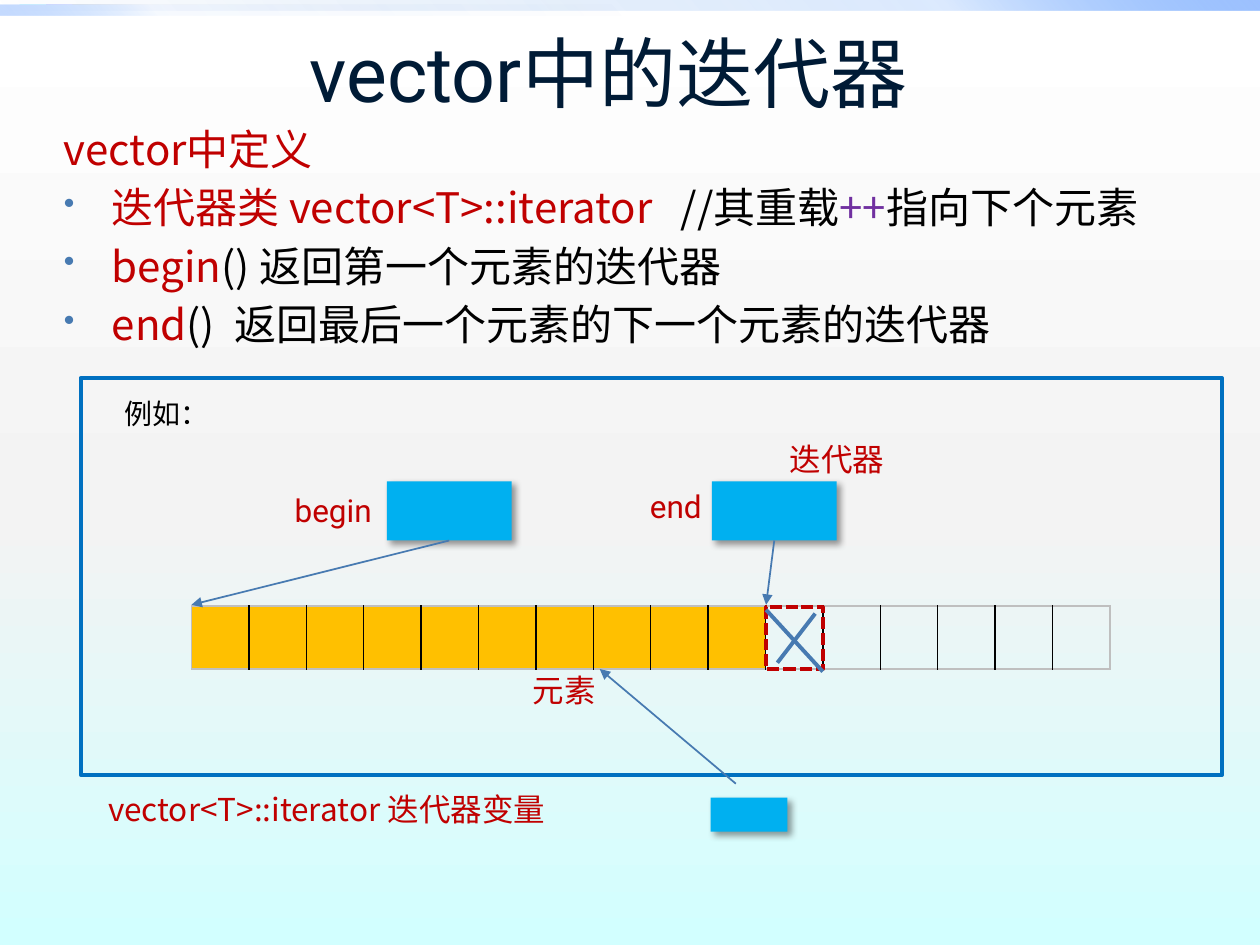
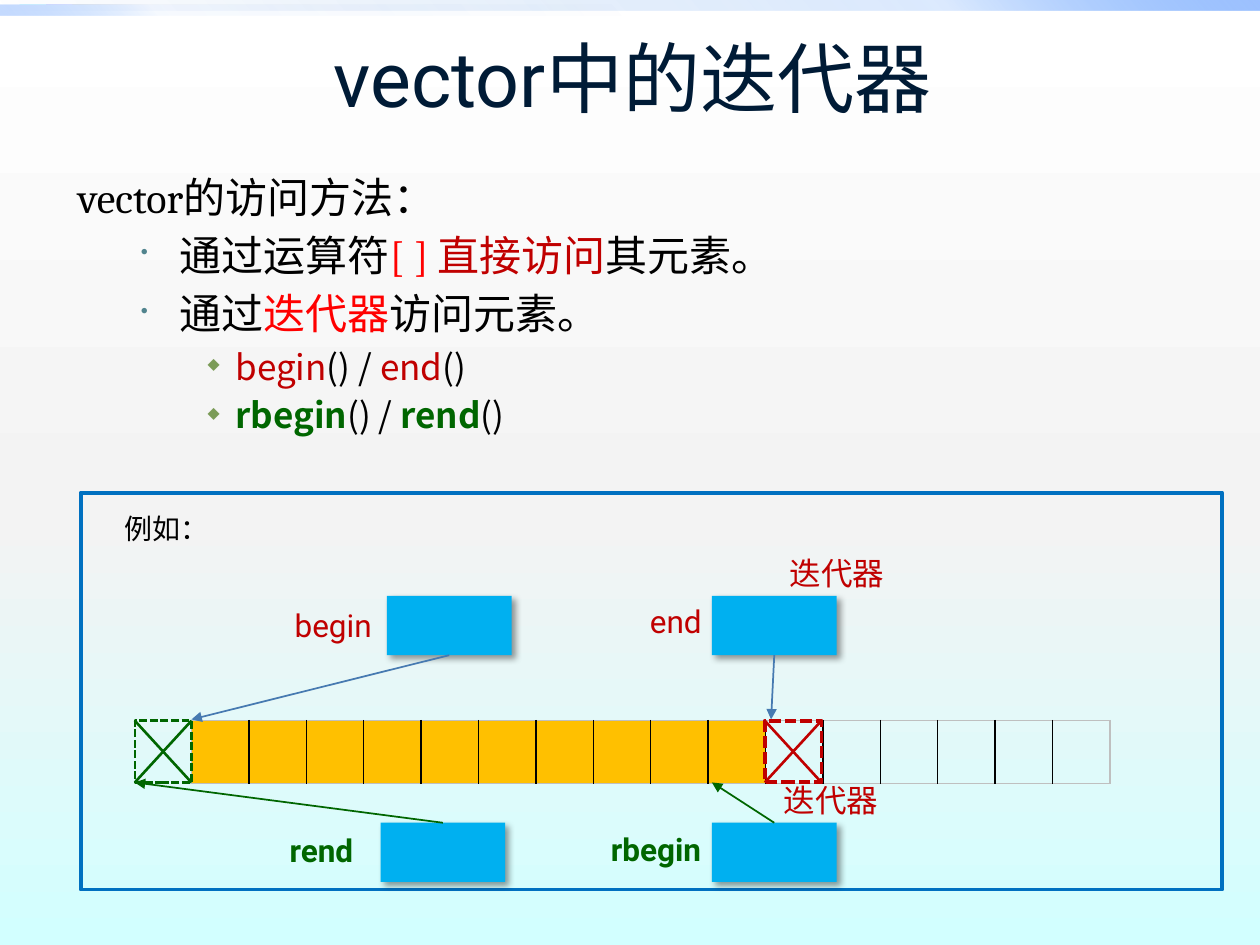
import dataclasses

import lxml.etree
import pptx
import pptx.dml.color
import pptx.enum.dml
import pptx.enum.shapes
import pptx.enum.text
import pptx.oxml.ns
import pptx.util

Inches = pptx.util.Inches
Pt = pptx.util.Pt
qn = pptx.oxml.ns.qn
ALIGN = pptx.enum.text.PP_ALIGN
BOTTOM, TOP = 2, 0


@dataclasses.dataclass(frozen=True)
class Theme:
    navy: str = "001B36"
    black: str = "000000"
    red: str = "C00000"
    bright_red: str = "FF0000"
    purple: str = "7030A0"
    green: str = "006600"
    steel: str = "477AB1"
    teal: str = "51848E"
    olive: str = "7B9B57"
    frame: str = "0070C0"
    iterator: str = "00B0F0"
    element: str = "FFC000"
    grid_edge: str = "BFBFBF"
    sans: str = "Roboto"
    cjk: str = "Noto Sans CJK SC"
    serif: str = "Cambria"
    title_size: int = 44
    body_size: int = 24
    detail_size: int = 20
    label_size: int = 18
    note_size: int = 16
    # Gradient stops: position, colour, opacity (all in percent)
    backdrop: tuple = ((0, "FFFFFF", 100), (55, "F3F3F3", 100), (100, "D2FFFF", 100))
    wide_band: tuple = ((0, "0058B7", 0), (75, "4F95FF", 20), (100, "9EC2FF", 100))
    short_band: tuple = ((0, "0058B7", 0), (75, "4F95FF", 5), (100, "9EC2FF", 60))


THEME = Theme()


@dataclasses.dataclass(frozen=True)
class Bullet:
    char: str
    color: str
    percent: int
    margin: float
    hanging: float
    level: int = 0


def rgb(color):
    return pptx.dml.color.RGBColor.from_string(color)


def sub(parent, tag, **attributes):
    values = {key: str(value) for key, value in attributes.items()}
    return lxml.etree.SubElement(parent, qn(tag), values)


def sub_color(parent, color, opacity=100):
    node = sub(parent, "a:srgbClr", val=color)
    if opacity < 100:
        sub(node, "a:alpha", val=opacity * 1000)


def paint_gradient(fill, owner, stops, clockwise):
    """Fill with any number of stops; owner is the XML element holding the fill."""
    fill.gradient()
    fill.gradient_angle = 360 - clockwise
    stop_list = next(owner.iter(qn("a:gsLst")))
    for stop in list(stop_list):
        stop_list.remove(stop)
    for position, color, opacity in stops:
        sub_color(sub(stop_list, "a:gs", pos=position * 1000), color, opacity)


class Deck:
    def __init__(self, theme):
        self.theme = theme
        self.presentation = pptx.Presentation()
        self.presentation.slide_width = Inches(10)
        self.presentation.slide_height = Inches(7.5)
        self.slide = None

    def new_slide(self, title, title_left, title_top):
        theme = self.theme
        self.slide = self.presentation.slides.add_slide(self.presentation.slide_layouts[6])
        paint_gradient(self.slide.background.fill, self.slide.element, theme.backdrop, 90)
        for top, width, stops, angle in ((0, 10, theme.wide_band, 315),
                                         (0.04, 5, theme.short_band, 135)):
            band = self.rectangle(0, top, width, 0.08)
            paint_gradient(band.fill, band.element, stops, angle)
        heading = self.text_frame(title_left, title_top, 9, 1.25)
        heading.vertical_anchor = pptx.enum.text.MSO_ANCHOR.MIDDLE
        heading.paragraphs[0].alignment = ALIGN.CENTER
        self.run(heading.paragraphs[0], title, theme.navy, theme.title_size)

    def rectangle(self, left, top, width, height, fill=None, line=None, weight=1, dashed=False):
        shape = self.slide.shapes.add_shape(
            pptx.enum.shapes.MSO_SHAPE.RECTANGLE,
            Inches(left), Inches(top), Inches(width), Inches(height))
        shape.shadow.inherit = False
        if fill:
            shape.fill.solid()
            shape.fill.fore_color.rgb = rgb(fill)
        else:
            shape.fill.background()
        if line:
            shape.line.color.rgb = rgb(line)
            shape.line.width = Pt(weight)
            if dashed:
                shape.line.dash_style = pptx.enum.dml.MSO_LINE.SQUARE_DOT
        else:
            shape.line.fill.background()
        return shape

    def iterator_box(self, left, top, width=0.99, height=0.47):
        box = self.rectangle(left, top, width, height, self.theme.iterator)
        effects = box.element.spPr.find(qn("a:effectLst"))
        shadow = sub(effects, "a:outerShdw", blurRad=Pt(4), dist=Pt(3), dir=45 * 60000,
                     algn="tl", rotWithShape=0)
        sub_color(shadow, self.theme.black, 40)
        return box

    def text_frame(self, left, top, width, height):
        frame = self.slide.shapes.add_textbox(
            Inches(left), Inches(top), Inches(width), Inches(height)).text_frame
        frame.word_wrap = True
        return frame

    def run(self, paragraph, text, color, size, font=None, bold=False, spacing=0):
        run = paragraph.add_run()
        run.text = text
        run.font.size = Pt(size)
        run.font.bold = bold
        run.font.color.rgb = rgb(color)
        run.font.name = font or self.theme.sans
        properties = run.font._element
        sub(properties, "a:ea", typeface=self.theme.cjk)
        if spacing:
            properties.set("spc", str(round(spacing * 100)))

    def label(self, text, left, top, width, color=None, size=None, font=None, bold=False):
        frame = self.text_frame(left, top, width, 0.4)
        self.run(frame.paragraphs[0], text, color or self.theme.red,
                 size or self.theme.label_size, font, bold)

    def body(self, left, top, width, height, lines, align=ALIGN.LEFT):
        """Each line is (bullet or None, size, font, runs); a run is (text, color, options)."""
        frame = self.text_frame(left, top, width, height)
        for index, (bullet, size, font, runs) in enumerate(lines):
            paragraph = frame.add_paragraph() if index else frame.paragraphs[0]
            paragraph.alignment = align
            if index:
                paragraph.space_before = Pt(size * 0.19)
            if bullet:
                self.bullet(paragraph, bullet)
            for text, color, *options in runs:
                self.run(paragraph, text, color, size, font, **(options[0] if options else {}))

    def bullet(self, paragraph, bullet):
        paragraph.level = bullet.level
        properties = paragraph._p.get_or_add_pPr()
        properties.set("marL", str(Inches(bullet.margin)))
        properties.set("indent", str(-Inches(bullet.hanging)))
        sub_color(sub(properties, "a:buClr"), bullet.color)
        sub(properties, "a:buSzPct", val=bullet.percent * 1000)
        sub(properties, "a:buChar", char=bullet.char)

    def line(self, start, end, color, weight=1.0, arrow=False, joined=None):
        """joined is (shape, side) that the line starts from."""
        connector = self.slide.shapes.add_connector(
            pptx.enum.shapes.MSO_CONNECTOR.STRAIGHT, *map(Inches, (*start, *end)))
        if joined:
            connector.begin_connect(*joined)
        connector.line.color.rgb = rgb(color)
        connector.line.width = Pt(weight)
        if arrow:
            sub(connector.line._ln, "a:tailEnd", type="triangle")
        sub(connector._element.spPr, "a:effectLst")

    def pointer(self, box, side, tip, color):
        x = (box.left + box.width / 2) / Inches(1)
        y = (box.top + (box.height if side == BOTTOM else 0)) / Inches(1)
        self.line((x, y), tip, color, arrow=True, joined=(box, side))

    def storage(self, left, top, used=10, capacity=16, width=7.29):
        table = self.slide.shapes.add_table(
            1, capacity, Inches(left), Inches(top), Inches(width), Inches(0.5)).table
        table.first_row = table.horz_banding = False
        for column in range(capacity):
            table.columns[column].width = Inches(width / capacity)
            cell = table.cell(0, column)
            properties = cell._tc.get_or_add_tcPr()
            inner = {"a:lnL": column > 0, "a:lnR": column < capacity - 1}
            for edge in ("a:lnL", "a:lnR", "a:lnT", "a:lnB"):
                border = sub(properties, edge, w=Pt(1))
                color = self.theme.black if inner.get(edge) else self.theme.grid_edge
                sub_color(sub(border, "a:solidFill"), color)
            if column < used:
                cell.fill.solid()
                cell.fill.fore_color.rgb = rgb(self.theme.element)
            else:
                cell.fill.background()

    def past_end_cell(self, left, top, color, weight):
        self.rectangle(left, top, 0.45, 0.49, line=color, weight=weight, dashed=True)

    def cross(self, left, top, color):
        right, bottom = left + 0.45, top + 0.49
        self.line((left, top), (right, bottom), color, 1.5)
        self.line((left, bottom), (right, top), color, 1.5)

    def example(self, top, end_tip):
        """Framed vector with its begin and end iterators."""
        theme = self.theme
        self.label("例如：", 0.89, top + 0.1, 6.3, theme.black, theme.note_size)
        self.rectangle(0.64, top, 9.06, 3.15, line=theme.frame, weight=2.25)
        self.storage(1.52, top + 1.81)
        for name, name_left, name_drop, width, box_left, tip in (
                ("begin", 2.24, 0.85, 1, 3.07, 1.52),
                ("end", 5.06, 0.82, 0.82, 5.65, end_tip)):
            self.label(name, name_left, top + name_drop, width)
            box = self.iterator_box(box_left, top + 0.82)
            self.pointer(box, BOTTOM, (tip, top + 1.8), theme.steel)
        self.label("迭代器", 6.17, top + 0.44, 1.32)


def iterator_definitions(deck):
    t = deck.theme
    dot = Bullet("•", t.steel, 75, 0.38, 0.38)
    deck.new_slide("vector中的迭代器", 0.33, -0.06)
    contents = (
        (None, [("vector中定义", t.red)]),
        (dot, [("迭代器类 vector<T>::iterator", t.red), (" ", t.red, {"spacing": 10.8}),
               ("//其重载", t.black), ("++", t.purple), ("指向下个元素", t.black)]),
        (dot, [("begin", t.red), ("() 返回第一个元素的迭代器", t.black)]),
        (dot, [("end", t.red), ("()", t.black), (" ", t.black, {"spacing": 5.4}),
               ("返回最后一个元素的下一个元素的迭代器", t.black)]),
    )
    deck.body(0.41, 0.93, 9.5, 1.84,
              [(bullet, t.body_size, t.cjk, runs) for bullet, runs in contents])

    deck.example(3, end_tip=6.08)
    deck.label("元素", 4.13, 5.28, 0.74)
    deck.label("vector<T>::iterator 迭代器变量", 0.76, 6.22, 4.24, font=t.cjk)
    deck.iterator_box(5.64, 6.33, 0.61, 0.27)
    deck.line((5.84, 6.22), (4.76, 5.31), t.steel, arrow=True)
    deck.past_end_cell(6.08, 4.82, t.red, 2.25)
    deck.line((6.08, 4.84), (6.53, 5.33), t.steel, 2.25)
    deck.line((6.47, 4.87), (6.17, 5.26), t.steel, 2.25)


def access_methods(deck):
    t = deck.theme
    method = Bullet("•", t.teal, 50, 0.81, 0.31, level=1)
    pair = Bullet("◆", t.olive, 45, 1.25, 0.22, level=2)
    strong = {"bold": True}
    deck.new_slide("vector中的迭代器", 0.52, -0.02)
    deck.body(0.52, 1.31, 9.29, 2.36, [
        (None, t.body_size, t.serif, [("vector的访问方法：", t.black)]),
        (method, t.body_size, t.serif, [
            ("通过运算符", t.black), ("[ ] ", t.bright_red),
            ("直接访问", t.red), ("其元素。", t.black)]),
        (method, t.body_size, t.serif, [
            ("通过", t.black), ("迭代器", t.bright_red), ("访问元素。", t.black)]),
        (pair, t.detail_size, t.cjk, [
            ("begin", t.red), ("() / ", t.black), ("end", t.red), ("()", t.black)]),
        (pair, t.detail_size, t.cjk, [
            ("rbegin", t.green, strong), ("() / ", t.black),
            ("rend", t.green, strong), ("()", t.black)]),
    ], ALIGN.JUSTIFY)

    deck.example(3.91, end_tip=6.12)
    deck.label("迭代器", 6.12, 6.15, 1.32)
    for name, name_left, name_top, box_left, tip in (
            ("rend", 2.2, 6.55, 3.02, 1.07), ("rbegin", 4.75, 6.54, 5.65, 5.65)):
        deck.label(name, name_left, name_top, 1.05, t.green, bold=True)
        box = deck.iterator_box(box_left, 6.53)
        deck.pointer(box, TOP, (tip, 6.21), t.green)
    for left, color, weight in ((1.07, t.green, 1.5), (6.07, t.red, 2.25)):
        deck.past_end_cell(left, 5.72, color, weight)
        deck.cross(left, 5.72, color)


def main():
    deck = Deck(THEME)
    iterator_definitions(deck)
    access_methods(deck)
    deck.presentation.save("out.pptx")


if __name__ == "__main__":
    main()
